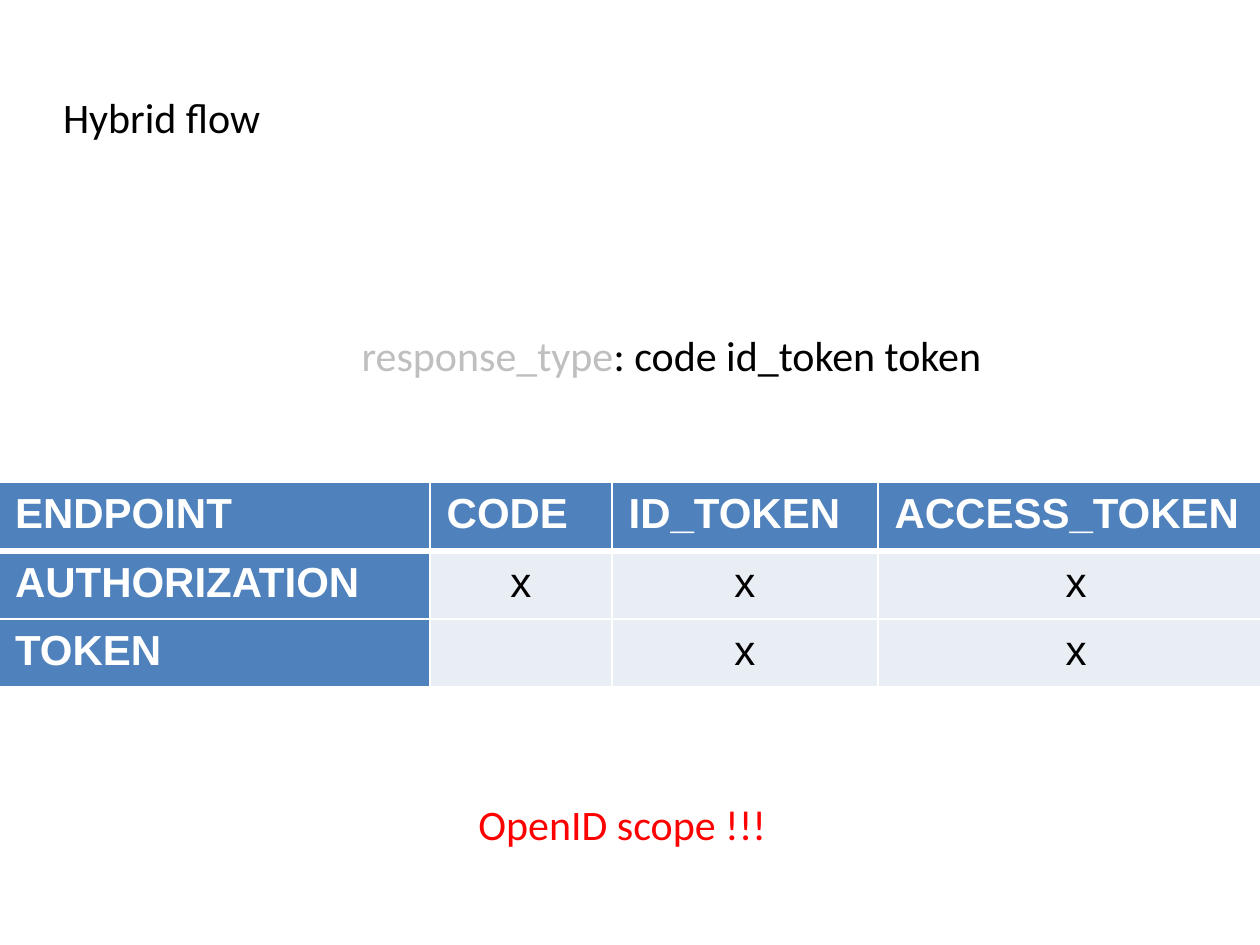
from lxml import etree
from pptx import Presentation
from pptx.dml.color import RGBColor
from pptx.enum import text as t
from pptx.oxml import ns
from pptx.util import Pt

BLACK = RGBColor(0, 0, 0)
WHITE = RGBColor(255, 255, 255)
GREY = RGBColor(0xBF, 0xBF, 0xBF)
RED = RGBColor(255, 0, 0)
BLUE = RGBColor(0x4F, 0x81, 0xBD)
PALE = RGBColor(0xE9, 0xED, 0xF4)

TITLE = [("Hybrid flow", BLACK)]
NOTES = [
    (155, 118, [("response_type", GREY), (": code id_token token", BLACK)]),
    (205, 319, [("OpenID scope !!!", RED)]),
]
ROWS = [
    ["ENDPOINT", "CODE", "ID_TOKEN", "ACCESS_TOKEN"],
    ["AUTHORIZATION", "x", "x", "x"],
    ["TOKEN", "", "x", "x"],
]
COLS = [185, 78, 114, 170]
ROW_H = 29.25


def write(frame, runs, font="Calibri", bold=False, align=t.PP_ALIGN.LEFT):
    para = frame.paragraphs[0]
    para.alignment = align
    for words, color in runs:
        run = para.add_run()
        run.text = words
        run.font.size = Pt(18)
        run.font.name = font
        run.font.bold = bold
        run.font.color.rgb = color


def place(box, left, top, runs):
    box.left, box.top, box.width, box.height = Pt(left), Pt(top), Pt(486), Pt(68)
    frame = box.text_frame
    frame.margin_left = frame.margin_right = 0
    frame.margin_top = frame.margin_bottom = 0
    frame.word_wrap = True
    frame.auto_size = t.MSO_AUTO_SIZE.NONE
    frame.vertical_anchor = t.MSO_ANCHOR.MIDDLE
    write(frame, runs)


def edge(cell, widths):
    """Draw white borders; widths are for left, right, top and bottom."""
    props = cell._tc.get_or_add_tcPr()
    for i, (side, width) in enumerate(zip("LRTB", widths)):
        line = etree.Element(ns.qn("a:ln" + side), w=str(Pt(width)))
        fill = etree.SubElement(line, ns.qn("a:solidFill"))
        etree.SubElement(fill, ns.qn("a:srgbClr"), val=str(WHITE))
        props.insert(i, line)


def add_grid(slide):
    grid = slide.shapes.add_table(len(ROWS), len(COLS), Pt(-0.75), Pt(206.75),
                                  Pt(sum(COLS)), Pt(ROW_H * len(ROWS))).table
    for col, width in zip(grid.columns, COLS):
        col.width = Pt(width)
    for r, row in enumerate(ROWS):
        grid.rows[r].height = Pt(ROW_H)
        for c, words in enumerate(row):
            cell = grid.cell(r, c)
            head = r == 0 or c == 0
            cell.fill.solid()
            cell.fill.fore_color.rgb = BLUE if head else PALE
            edge(cell, (1, 1, 3 if r == 1 else 1, 3 if r == 0 else 1))
            if words:
                write(cell.text_frame, [(words, WHITE if head else BLACK)],
                      font="Arial", bold=head,
                      align=t.PP_ALIGN.LEFT if head else t.PP_ALIGN.CENTER)


def main():
    deck = Presentation()
    deck.slide_width, deck.slide_height = Pt(540), Pt(405)
    slide = deck.slides.add_slide(deck.slide_layouts[5])
    add_grid(slide)
    place(slide.shapes.title, 27, 16, TITLE)
    for left, top, runs in NOTES:
        place(slide.shapes.add_textbox(0, 0, 0, 0), left, top, runs)
    deck.save("out.pptx")


if __name__ == "__main__":
    main()
